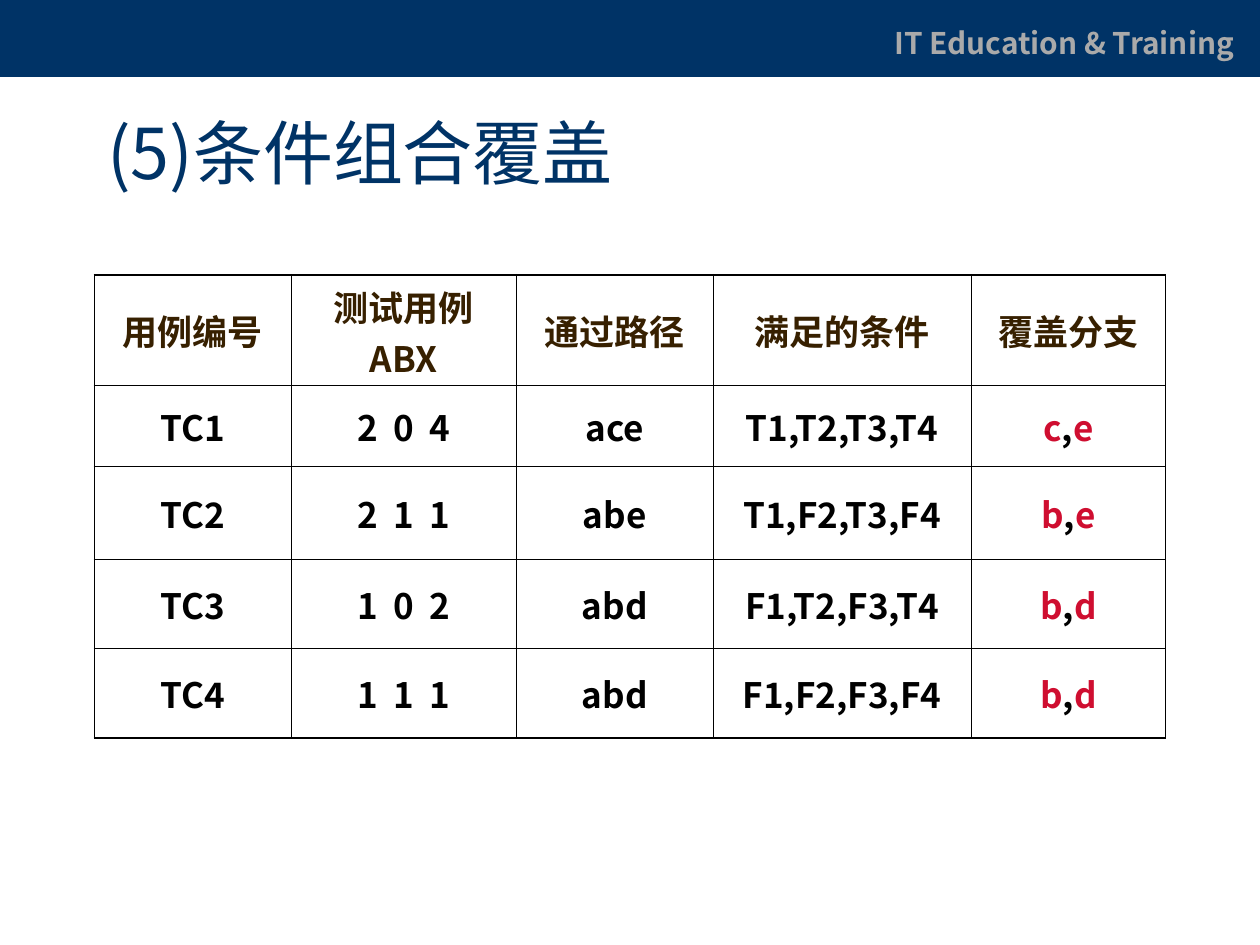
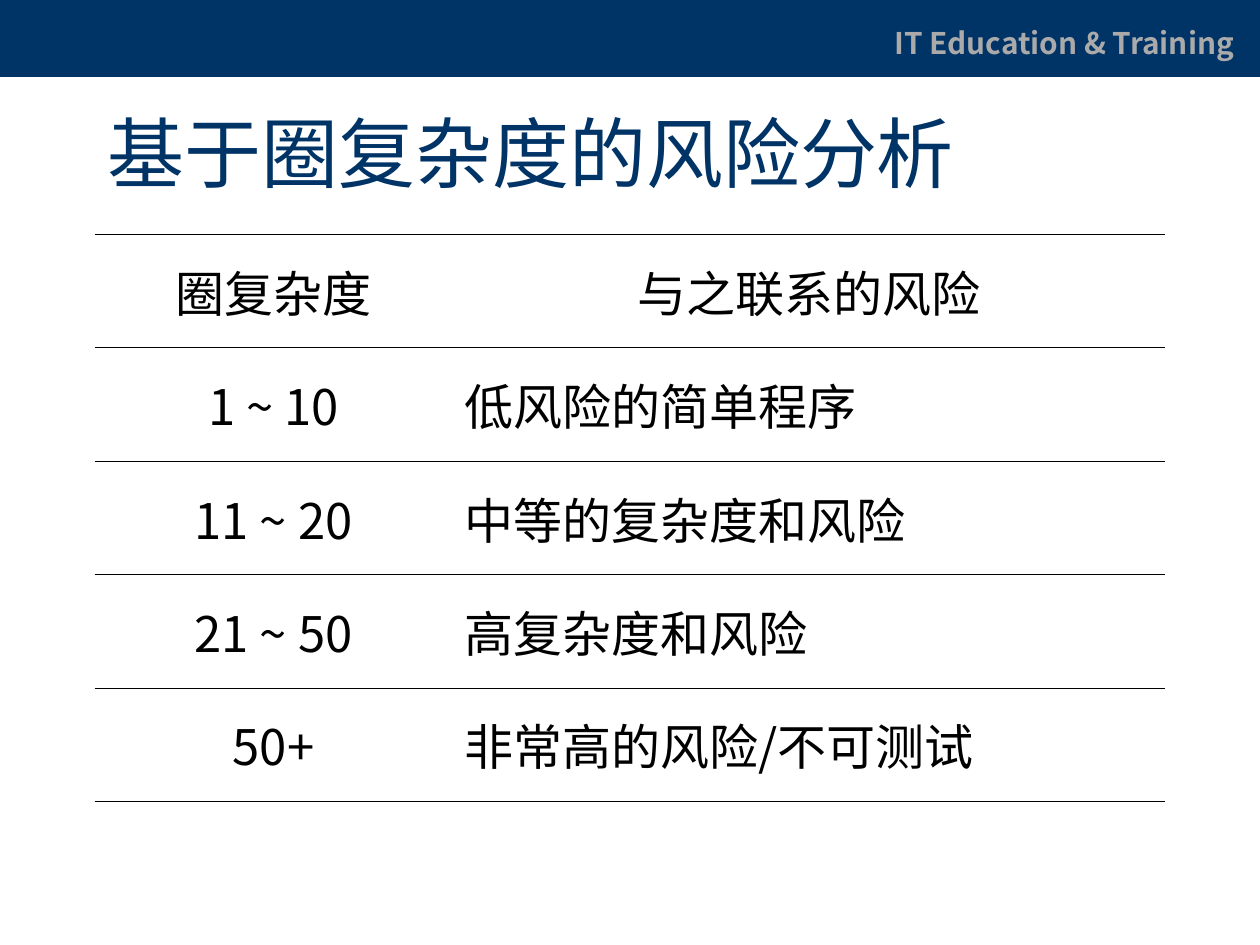
import pptx
import pptx.dml.color
import pptx.enum.shapes
import pptx.enum.text
import pptx.oxml.ns
import pptx.util
from lxml import etree
from pptx.util import Inches

FONT = "Noto Sans CJK SC"
NAVY, GREY, BROWN, RED, BLACK = "003366", "AAAAAA", "372000", "CF0E30", "000000"
OUTER, INNER = 1.08, 0.45
CENTER = pptx.enum.text.PP_ALIGN.CENTER
LEFT = pptx.enum.text.PP_ALIGN.LEFT
MIDDLE = pptx.enum.text.MSO_ANCHOR.MIDDLE


def format_run(run, size, color, bold=False):
    run.font.name = FONT
    run.font.size = pptx.util.Pt(size)
    run.font.bold = bold
    run.font.color.rgb = pptx.dml.color.RGBColor.from_string(color)
    east_asian = etree.SubElement(run._r.get_or_add_rPr(), pptx.oxml.ns.qn("a:ea"))
    east_asian.set("typeface", FONT)


def set_borders(cell, widths):
    """Draw left, right, top and bottom borders; None leaves a side open."""
    properties = cell._tc.get_or_add_tcPr()
    for position, (side, width) in enumerate(zip("LRTB", widths)):
        line = etree.Element(pptx.oxml.ns.qn("a:ln" + side))
        properties.insert(position, line)
        if width is None:
            etree.SubElement(line, pptx.oxml.ns.qn("a:noFill"))
        else:
            line.set("w", str(pptx.util.Pt(width)))
            fill = etree.SubElement(line, pptx.oxml.ns.qn("a:solidFill"))
            etree.SubElement(fill, pptx.oxml.ns.qn("a:srgbClr")).set("val", BLACK)


test_cases = [
    ["用例编号", "测试用例ABX", "通过路径", "满足的条件", "覆盖分支"],
    ["TC1", "2 0 4", "ace", "T1,T2,T3,T4", "c,e"],
    ["TC2", "2 1 1", "abe", "T1,F2,T3,F4", "b,e"],
    ["TC3", "1 0 2", "abd", "F1,T2,F3,T4", "b,d"],
    ["TC4", "1 1 1", "abd", "F1,F2,F3,F4", "b,d"],
]
risk_levels = [
    ["圈复杂度", "与之联系的风险"],
    ["1 ~ 10", "低风险的简单程序"],
    ["11 ~ 20", "中等的复杂度和风险"],
    ["21 ~ 50", "高复杂度和风险"],
    ["50+", "非常高的风险/不可测试"],
]
slides = [
    {"title": "(5)条件组合覆盖", "title_size": 40, "top": 2.18, "rows": test_cases,
     "widths": [1.56, 1.79, 1.56, 2.05, 1.54], "heights": [0.88, 0.64, 0.74, 0.71, 0.71],
     "size": 20, "bold": True, "header_color": BROWN, "vertical_lines": True},
    {"title": "基于圈复杂度的风险分析", "title_size": 44, "top": 1.86, "rows": risk_levels,
     "widths": [2.84, 5.66], "heights": [0.9] * 5,
     "size": 28, "bold": False, "header_color": BLACK, "vertical_lines": False},
]

presentation = pptx.Presentation()
presentation.slide_width, presentation.slide_height = Inches(10), Inches(7.5)

for content in slides:
    slide = presentation.slides.add_slide(presentation.slide_layouts[5])

    # Top band with the course name
    band = slide.shapes.add_shape(
        pptx.enum.shapes.MSO_SHAPE.RECTANGLE, 0, 0, Inches(10), Inches(0.61))
    band.shadow.inherit = False
    band.fill.solid()
    band.fill.fore_color.rgb = pptx.dml.color.RGBColor.from_string(NAVY)
    band.line.fill.background()
    course = slide.shapes.add_textbox(Inches(7), Inches(0.15), Inches(2.93), Inches(0.66))
    course.text_frame.word_wrap = True
    course.text_frame.text = "IT Education & Training"
    format_run(course.text_frame.paragraphs[0].runs[0], 17, GREY, True)

    # Title
    title = slide.shapes.title
    title.left, title.top = Inches(0.75), Inches(0.68)
    title.width, title.height = Inches(8.5), Inches(1.04)
    title.text_frame.text = content["title"]
    title.text_frame.auto_size = pptx.enum.text.MSO_AUTO_SIZE.NONE
    title.text_frame.vertical_anchor = MIDDLE
    title.text_frame.paragraphs[0].alignment = LEFT
    format_run(title.text_frame.paragraphs[0].runs[0], content["title_size"], NAVY)

    # Table grid
    rows, widths, heights = content["rows"], content["widths"], content["heights"]
    table = slide.shapes.add_table(
        len(rows), len(widths), Inches(0.75), Inches(content["top"]),
        Inches(sum(widths)), Inches(sum(heights))).table
    table.first_row = table.horz_banding = False
    for column, width in zip(table.columns, widths):
        column.width = Inches(width)
    for row, height in zip(table.rows, heights):
        row.height = Inches(height)

    # Table cells
    last_row, last_column = len(rows) - 1, len(widths) - 1
    for row_index, row_texts in enumerate(rows):
        for column_index, text in enumerate(row_texts):
            cell = table.cell(row_index, column_index)
            cell.fill.background()
            cell.vertical_anchor = MIDDLE
            left = right = None
            if content["vertical_lines"]:
                left = OUTER if column_index == 0 else INNER
                right = OUTER if column_index == last_column else INNER
            top = OUTER if row_index == 0 else INNER
            bottom = OUTER if row_index == last_row else INNER
            set_borders(cell, [left, right, top, bottom])

            # Branch names are red around a black comma
            is_branch = rows is test_cases and row_index > 0 and column_index == last_column
            is_risk = rows is risk_levels and row_index > 0 and column_index == last_column
            paragraph = cell.text_frame.paragraphs[0]
            paragraph.alignment = LEFT if is_risk else CENTER
            for part in list(text) if is_branch else [text]:
                run = paragraph.add_run()
                run.text = part
                color = content["header_color"] if row_index == 0 else BLACK
                if is_branch and part != ",":
                    color = RED
                format_run(run, content["size"], color, content["bold"])
                # Input values stand apart by letter spacing
                if rows is test_cases and row_index > 0 and column_index == 1:
                    run._r.get_or_add_rPr().set("spc", "220")

presentation.save("out.pptx")
